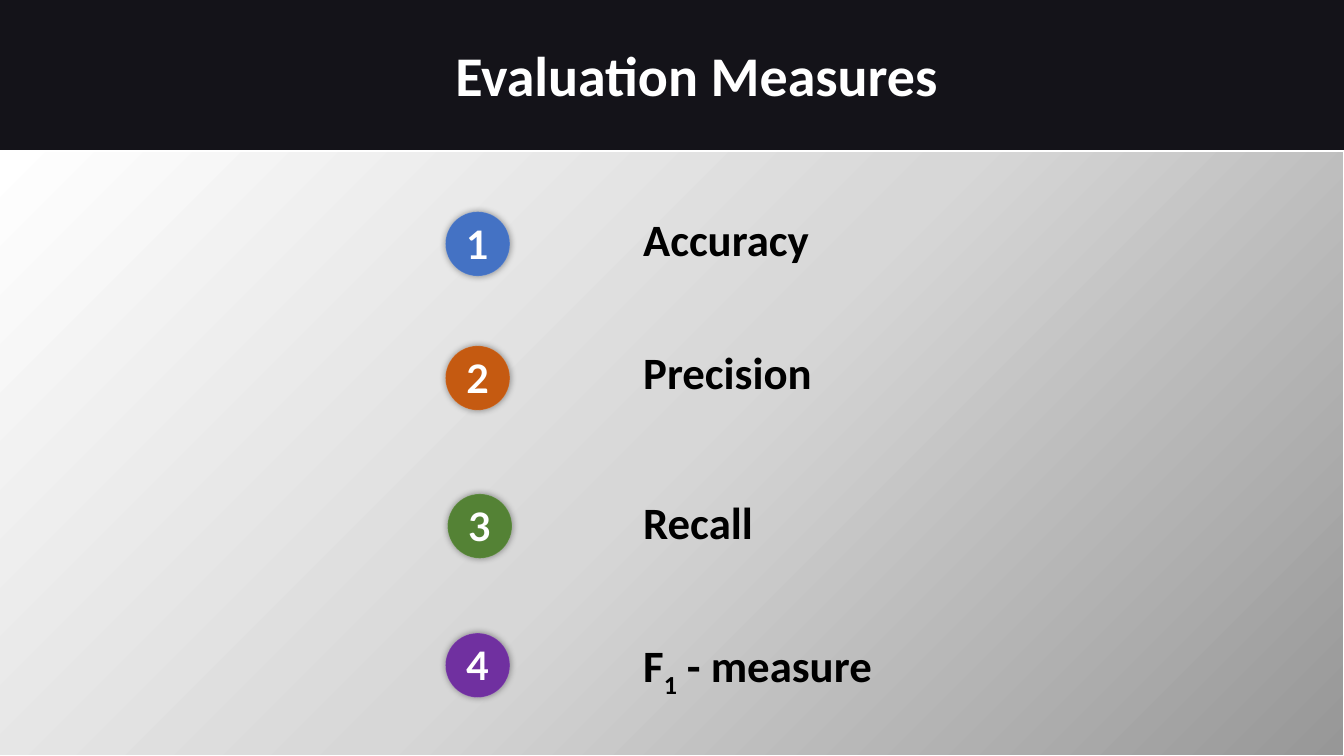
from pptx import Presentation
from pptx.dml.color import RGBColor
from pptx.enum.shapes import MSO_SHAPE
from pptx.enum.text import MSO_ANCHOR, PP_ALIGN
from pptx.oxml import parse_xml
from pptx.oxml.ns import nsdecls
from pptx.util import Pt

RECT, OVAL = MSO_SHAPE.RECTANGLE, MSO_SHAPE.OVAL
LEFT, CENTER = PP_ALIGN.LEFT, PP_ALIGN.CENTER
TOP, MIDDLE = MSO_ANCHOR.TOP, MSO_ANCHOR.MIDDLE

COLORS = {
    "backdrop": "524E67", "black": "000000", "white": "FFFFFF",
    "blue": "4472C4", "orange": "C55A11", "green": "548235", "purple": "7030A0",
}
PANEL_STOPS = [(0, "979797"), (50, "D7D7D7"), (100, "FFFFFF")]

TITLE = "Evaluation Measures"
# label runs as (text, is subscript), badge colour, badge left and top, label top and width
MEASURES = [
    ([("Accuracy", False)], "blue", 318.2, 151.2, 151.2, 156),
    ([("Precision", False)], "orange", 318.2, 247, 246.2, 168),
    ([("Recall", False)], "green", 319.7, 352.8, 353.5, 222),
    ([("F", False), ("1", True), (" - measure", False)], "purple", 318.2, 452.2, 455.8, 190),
]
SLIDE_W, SLIDE_H = 960, 540
PANEL_TOP = 108
BADGE = 46
LABEL_LEFT, LABEL_H = 459.4, 38.9


def rgb(name):
    return RGBColor.from_string(COLORS[name])


def set_alpha(paint, percent):
    """Make a solid fill, of a shape or a line, partly transparent."""
    color = paint.find(".//{*}srgbClr")
    color.append(parse_xml(f'<a:alpha {nsdecls("a")} val="{percent * 1000}"/>'))


def add_shape(kind, left, top, width, height, color):
    shape = slide.shapes.add_shape(kind, Pt(left), Pt(top), Pt(width), Pt(height))
    shape.shadow.inherit = False
    shape.fill.solid()
    shape.fill.fore_color.rgb = rgb(color)
    shape.line.fill.background()
    return shape


def outline(shape, width):
    shape.line.color.rgb = rgb("white")
    shape.line.width = Pt(width)


def write(shape, runs, size, font, color, align=LEFT, anchor=TOP, inset=0):
    frame = shape.text_frame
    frame.word_wrap = True
    frame.vertical_anchor = anchor
    frame.margin_left = frame.margin_right = Pt(inset * 2)
    frame.margin_top = frame.margin_bottom = Pt(inset)
    paragraph = frame.paragraphs[0]
    paragraph.alignment = align
    for text, subscript in runs:
        run = paragraph.add_run()
        run.text = text
        run.font.name, run.font.size, run.font.bold = font, Pt(size), True
        run.font.color.rgb = rgb(color)
        if subscript:
            run.font._element.set("baseline", "-25000")


def add_textbox(left, top, width, height):
    return slide.shapes.add_textbox(Pt(left), Pt(top), Pt(width), Pt(height))


def add_panel():
    """Add the body area, shaded outwards from its bottom right corner."""
    panel = add_shape(RECT, -1.4, PANEL_TOP, SLIDE_W + 1.4, SLIDE_H - PANEL_TOP, "white")
    outline(panel, 1)
    stops = "".join(f'<a:gs pos="{pos * 1000}"><a:srgbClr val="{color}"/></a:gs>'
                    for pos, color in PANEL_STOPS)
    solid = panel._element.spPr.find("{*}solidFill")
    solid.getparent().replace(solid, parse_xml(
        f'<a:gradFill {nsdecls("a")} rotWithShape="1"><a:gsLst>{stops}</a:gsLst>'
        '<a:path path="circle"><a:fillToRect l="100000" t="100000"/></a:path></a:gradFill>'))


def add_badge(number, color, left, top):
    badge = add_shape(OVAL, left, top, BADGE, BADGE, color)
    outline(badge, 0.5)
    properties = badge._element.spPr
    set_alpha(properties.find("{*}ln"), 15)
    properties.find("{*}effectLst").append(parse_xml(
        f'<a:outerShdw {nsdecls("a")} blurRad="{Pt(5)}" dist="0" dir="0" algn="ctr" '
        f'rotWithShape="0"><a:srgbClr val="{COLORS["black"]}"><a:alpha val="40000"/>'
        '</a:srgbClr></a:outerShdw>'))
    write(badge, [(str(number), False)], 28, "Lato", "white", CENTER, MIDDLE)


prs = Presentation()
prs.slide_width, prs.slide_height = Pt(SLIDE_W), Pt(SLIDE_H)
slide = prs.slides.add_slide(prs.slide_layouts[6])
slide.background.fill.solid()
slide.background.fill.fore_color.rgb = rgb("backdrop")

shade = add_shape(RECT, 0, 0, SLIDE_W, SLIDE_H, "black")
set_alpha(shade._element.spPr, 75)
title = add_textbox(51.8, 25.2, 891.4, 55.4)
write(title, [(TITLE, False)], 40, "Calibri", "white", CENTER, inset=3.6)
add_panel()

for number, (runs, color, left, top, label_top, width) in enumerate(MEASURES, 1):
    add_badge(number, color, left, top)
    label = add_textbox(LABEL_LEFT, label_top, width, LABEL_H)
    write(label, runs, 32, "Calibri", "black")

prs.save("out.pptx")
